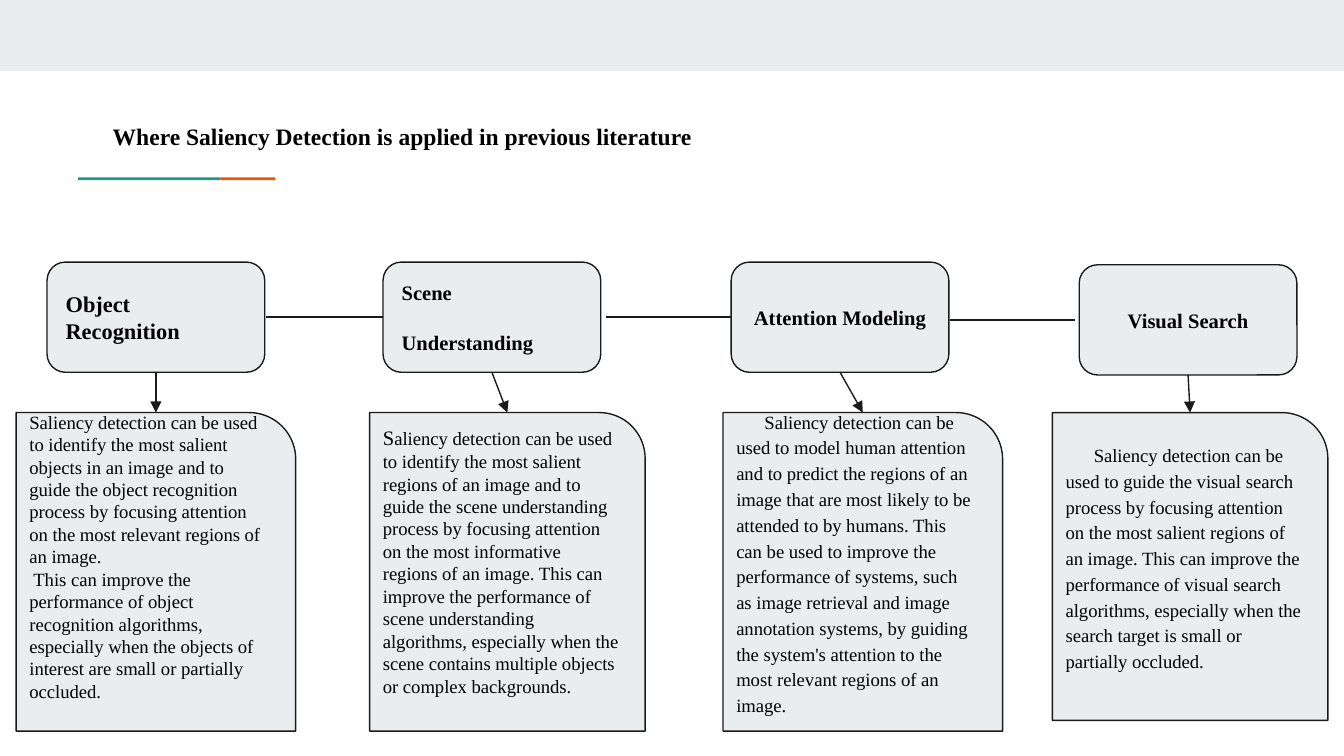
import pptx
import pptx.util
import pptx.dml.color
import pptx.enum.shapes
import pptx.enum.text
import pptx.oxml.ns
from lxml import etree

Inches, Pt = pptx.util.Inches, pptx.util.Pt
SHAPES = pptx.enum.shapes.MSO_SHAPE
ALIGN = pptx.enum.text.PP_ALIGN
ANCHOR = pptx.enum.text.MSO_ANCHOR

# Content
FONT = "Times New Roman"
COLORS = {"panel": "E9EDEE", "line": "1A1A1A", "text": "000000",
          "teal": "1A9988", "orange": "EB5600"}
TITLE = "Where Saliency Detection is applied in previous literature"

# Paragraphs are (runs, format); runs are (text, size).
LOOSE = {"indent": 0.21, "before": 12, "spacing": 1.15}
CENTER = {"align": ALIGN.CENTER}
COLUMNS = [
    {"head_at": (0.35, 1.95), "head": [([("Object Recognition", 12)], {})],
     "body_at": (0.12, 2.08, 2.37), "bottom": 0.33,
     "body": [
         ([("Saliency detection can be used to identify the most salient objects in an "
            "image and to guide the object recognition process by focusing attention on "
            "the most relevant regions of an image.", 10)], {}),
         ([("This can improve the performance of object recognition algorithms, "
            "especially when the objects of interest are small or partially occluded.",
            10)], {"indent": 0.03})]},
    {"head_at": (2.85, 1.95), "head": [([("Scene", 11)], {}),
                                       ([("Understanding", 11)], {"before": 13.5})],
     "body_at": (2.75, 2.05, 2.37), "bottom": 0.26,
     "body": [
         ([("S", 11),
           ("aliency detection can be used to identify the most salient regions of an "
            "image and to guide the scene understanding process by focusing attention on "
            "the most informative regions of an image. This can improve the performance "
            "of scene understanding algorithms, especially when the scene contains "
            "multiple objects or complex backgrounds.", 10)], {})]},
    {"head_at": (5.44, 1.95), "head": [([("Attention Modeling", 11)], CENTER)],
     "body_at": (5.38, 2.08, 2.37), "bottom": 0.25,
     "body": [
         ([("Saliency detection can be used to model human attention and to predict the "
            "regions of an image that are most likely to be attended to by humans. This "
            "can be used to improve the performance of systems, such as image retrieval "
            "and image annotation systems, by guiding the system's attention to the most "
            "relevant regions of an image.", 10)], LOOSE)]},
    {"head_at": (8.03, 1.97), "head": [([("Visual Search", 11)], CENTER)],
     "body_at": (7.83, 2.05, 2.29), "bottom": 0.25,
     "body": [
         ([("Saliency detection can be used to guide the visual search process by "
            "focusing attention on the most salient regions of an image. This can improve "
            "the performance of visual search algorithms, especially when the search "
            "target is small or partially occluded.", 10)], LOOSE)]},
]
HEAD_W, HEAD_H, BODY_TOP = 1.62, 0.82, 3.07
LINKS = [(1.98, 2.85, 2.36), (4.51, 5.44, 2.36), (7.07, 8.0, 2.38)]

# 16:9 slide
prs = pptx.Presentation()
prs.slide_width = Inches(10)
prs.slide_height = prs.slide_width * 9 // 16
s = prs.slides.add_slide(prs.slide_layouts[6])


def rgb(name):
    return pptx.dml.color.RGBColor.from_string(COLORS[name])


def add_box(kind, box, fill, outlined=False):
    sp = s.shapes.add_shape(kind, *map(Inches, box))
    sp.shadow.inherit = False
    sp.fill.solid()
    sp.fill.fore_color.rgb = rgb(fill)
    if outlined:
        sp.line.color.rgb = rgb("line")
        sp.line.width = Pt(0.75)
    else:
        sp.line.fill.background()
    return sp


def write(sp, paragraphs, bold=False, anchor=ANCHOR.MIDDLE, bottom=0.1):
    tf = sp.text_frame
    tf.word_wrap = True
    tf.vertical_anchor = anchor
    tf.margin_left = tf.margin_right = tf.margin_top = Inches(0.1)
    tf.margin_bottom = Inches(bottom)
    for i, (runs, fmt) in enumerate(paragraphs):
        p = tf.add_paragraph() if i else tf.paragraphs[0]
        p.alignment = fmt.get("align", ALIGN.LEFT)
        if "before" in fmt:
            p.space_before = Pt(fmt["before"])
        if "spacing" in fmt:
            p.line_spacing = fmt["spacing"]
        if "indent" in fmt:
            p._p.get_or_add_pPr().set("indent", str(Inches(fmt["indent"])))
        for text, size in runs:
            r = p.add_run()
            r.text = text
            r.font.name, r.font.size, r.font.bold = FONT, Pt(size), bold
            r.font.color.rgb = rgb("text")


def add_line(x1, y1, x2, y2, arrow=False):
    line = s.shapes.add_connector(pptx.enum.shapes.MSO_CONNECTOR.STRAIGHT,
                                  *map(Inches, (x1, y1, x2, y2)))
    line.line.color.rgb = rgb("line")
    line.line.width = Pt(0.75)
    qn = pptx.oxml.ns.qn
    if arrow:
        etree.SubElement(line.line._get_or_add_ln(), qn("a:tailEnd"), type="triangle")
    etree.SubElement(line._element.spPr, qn("a:effectLst"))


# Top band, accent rule and title
add_box(SHAPES.RECTANGLE, (0, 0, 10, 0.53), "panel")
add_box(SHAPES.RECTANGLE, (1.64, 1.32, 0.41, 0.02), "orange")
add_box(SHAPES.RECTANGLE, (0.58, 1.32, 1.06, 0.02), "teal")
title = s.shapes.add_textbox(*map(Inches, (0.74, 0.81, 8.41, 0.59)))
write(title, [([(TITLE, 12.6)], {})], bold=True, anchor=ANCHOR.TOP)

# Each column: heading, explanation and the arrow between their centres
for col in COLUMNS:
    x, y = col["head_at"]
    head = add_box(SHAPES.ROUNDED_RECTANGLE, (x, y, HEAD_W, HEAD_H), "panel", True)
    write(head, col["head"], bold=True)
    left, width, height = col["body_at"]
    body = add_box(SHAPES.ROUND_1_RECTANGLE, (left, BODY_TOP, width, height),
                   "panel", True)
    write(body, col["body"], bottom=col["bottom"])
    add_line(x + HEAD_W / 2, y + HEAD_H, left + width / 2, BODY_TOP, arrow=True)

# Links between headings
for start, end, y in LINKS:
    add_line(start, y, end, y)

prs.save("out.pptx")
